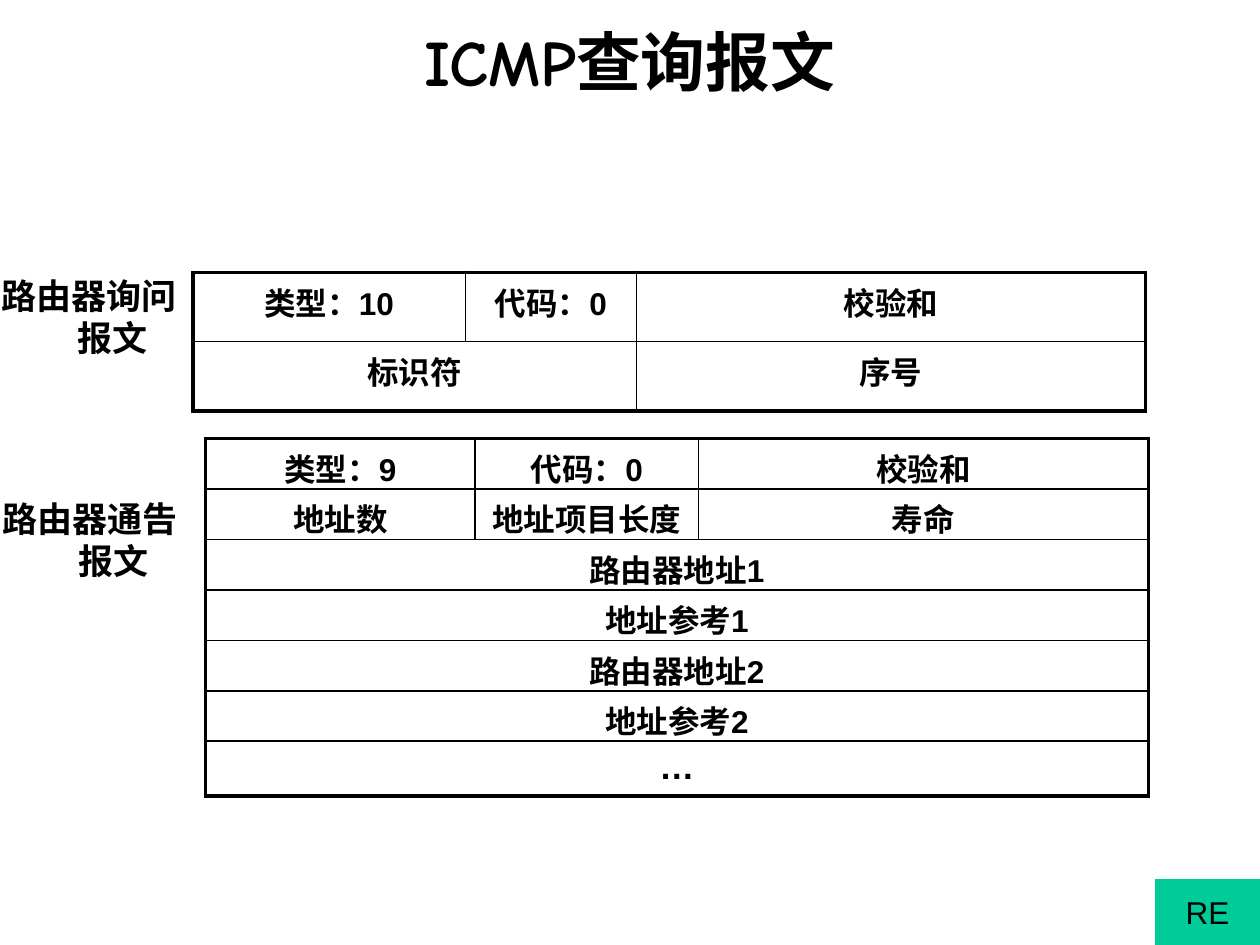
import pptx
import pptx.dml.color
import pptx.enum.shapes
import pptx.enum.text
import pptx.oxml
import pptx.oxml.ns
import pptx.util

Cm, Pt = pptx.util.Cm, pptx.util.Pt
CENTER = pptx.enum.text.PP_ALIGN.CENTER
MIDDLE = pptx.enum.text.MSO_ANCHOR.MIDDLE
NS = pptx.oxml.ns.nsdecls("a")


def color(code):
    return pptx.dml.color.RGBColor.from_string(code)


class Page:
    font, ink, accent = "Arial", "000000", "00CC99"
    thick, thin = 2.25, 1

    def __init__(self, deck):
        self.slide = deck.slides.add_slide(deck.slide_layouts[5])

    def words(self, frame, text, size, bold=True, font=None, gap=False):
        frame.text = text
        para = frame.paragraphs[0]
        para.alignment = CENTER
        face = para.runs[0].font
        face.name, face.size, face.bold = font or self.font, Pt(size), bold
        face.color.rgb = color(self.ink)
        props = para._p.get_or_add_pPr()
        if gap:  # space before, as a share of the line
            props.insert(0, pptx.oxml.parse_xml(
                f'<a:spcBef {NS}><a:spcPct val="20000"/></a:spcBef>'))
        return props

    def title(self, text, left, top, width, height):
        shape = self.slide.shapes.title
        shape.left, shape.top = Cm(left), Cm(top)
        shape.width, shape.height = Cm(width), Cm(height)
        frame = shape.text_frame
        frame.auto_size = pptx.enum.text.MSO_AUTO_SIZE.NONE
        frame.vertical_anchor = MIDDLE
        self.words(frame, text, 37, font="Comic Neue")

    def label(self, text, top, width, height, gap=False):
        box = self.slide.shapes.add_textbox(0, Cm(top), Cm(width), Cm(height))
        frame = box.text_frame
        frame.word_wrap = True
        frame.margin_left = frame.margin_right = 0
        frame.margin_top = frame.margin_bottom = 0
        props = self.words(frame, text, 20, gap=gap)
        # Hanging indent
        props.set("marL", str(Cm(0.95)))
        props.set("indent", str(-Cm(0.95)))

    def border(self, cell, edges):
        props = cell._tc.get_or_add_tcPr()
        for spot, (side, outer) in enumerate(edges.items()):
            width = Pt(self.thick if outer else self.thin)
            props.insert(spot, pptx.oxml.parse_xml(
                f'<a:ln{side} {NS} w="{width}"><a:solidFill>'
                f'<a:srgbClr val="{self.ink}"/></a:solidFill></a:ln{side}>'))

    def table(self, left, top, cols, high, rows):
        """Fill a grid; None joins a cell to the one on its left."""
        shape = self.slide.shapes.add_table(
            len(rows), len(cols), Cm(left), Cm(top),
            Cm(sum(cols)), Cm(high * len(rows)))
        grid = shape.table
        grid.first_row = grid.horz_banding = False
        for col, width in zip(grid.columns, cols):
            col.width = Cm(width)
        for r, row in enumerate(rows):
            grid.rows[r].height = Cm(high)
            for c, text in enumerate(row):
                cell = grid.cell(r, c)
                end = c
                while end + 1 < len(row) and row[end + 1] is None:
                    end += 1
                cell.fill.background()
                self.border(cell, {"L": c == 0, "R": end == len(cols) - 1,
                                   "T": r == 0, "B": r == len(rows) - 1})
                if text is None:
                    continue
                if end > c:
                    cell.merge(grid.cell(r, end))
                self.words(cell.text_frame, text, 20 if text == "…" else 18,
                           gap=True)

    def button(self, text, left, top, width, height):
        kind = pptx.enum.shapes.MSO_SHAPE.ACTION_BUTTON_CUSTOM
        shape = self.slide.shapes.add_shape(
            kind, Cm(left), Cm(top), Cm(width), Cm(height))
        shape.shadow.inherit = False
        shape.fill.solid()
        shape.fill.fore_color.rgb = color(self.accent)
        shape.line.fill.background()
        frame = shape.text_frame
        frame.word_wrap = False
        frame.vertical_anchor = MIDDLE
        self.words(frame, text, 18, bold=False)


def main():
    deck = pptx.Presentation()
    deck.slide_width, deck.slide_height = Cm(25.4), Cm(19.05)
    page = Page(deck)
    page.title("ICMP查询报文", 1.27, 0.33, 22.86, 1.78)

    # Router solicitation
    page.label("路由器询问报文", 5.54, 3.58, 2.9, gap=True)
    page.table(3.89, 5.49, [5.49, 3.45, 10.26], 1.4, [
        ["类型：10", "代码：0", "校验和"],
        ["标识符", None, "序号"],
    ])

    # Router advertisement
    page.label("路由器通告报文", 10.03, 3.63, 2.54)
    wide = [f"{name}{n}" for n in (1, 2) for name in ("路由器地址", "地址参考")]
    page.table(4.14, 8.84, [5.44, 4.5, 9.07], 1, [
        ["类型：9", "代码：0", "校验和"],
        ["地址数", "地址项目长度", "寿命"],
        *([text, None, None] for text in wide + ["…"]),
    ])

    # Return button
    page.button("RE", 23.29, 17.73, 2.11, 1.32)
    deck.save("out.pptx")


if __name__ == "__main__":
    main()
